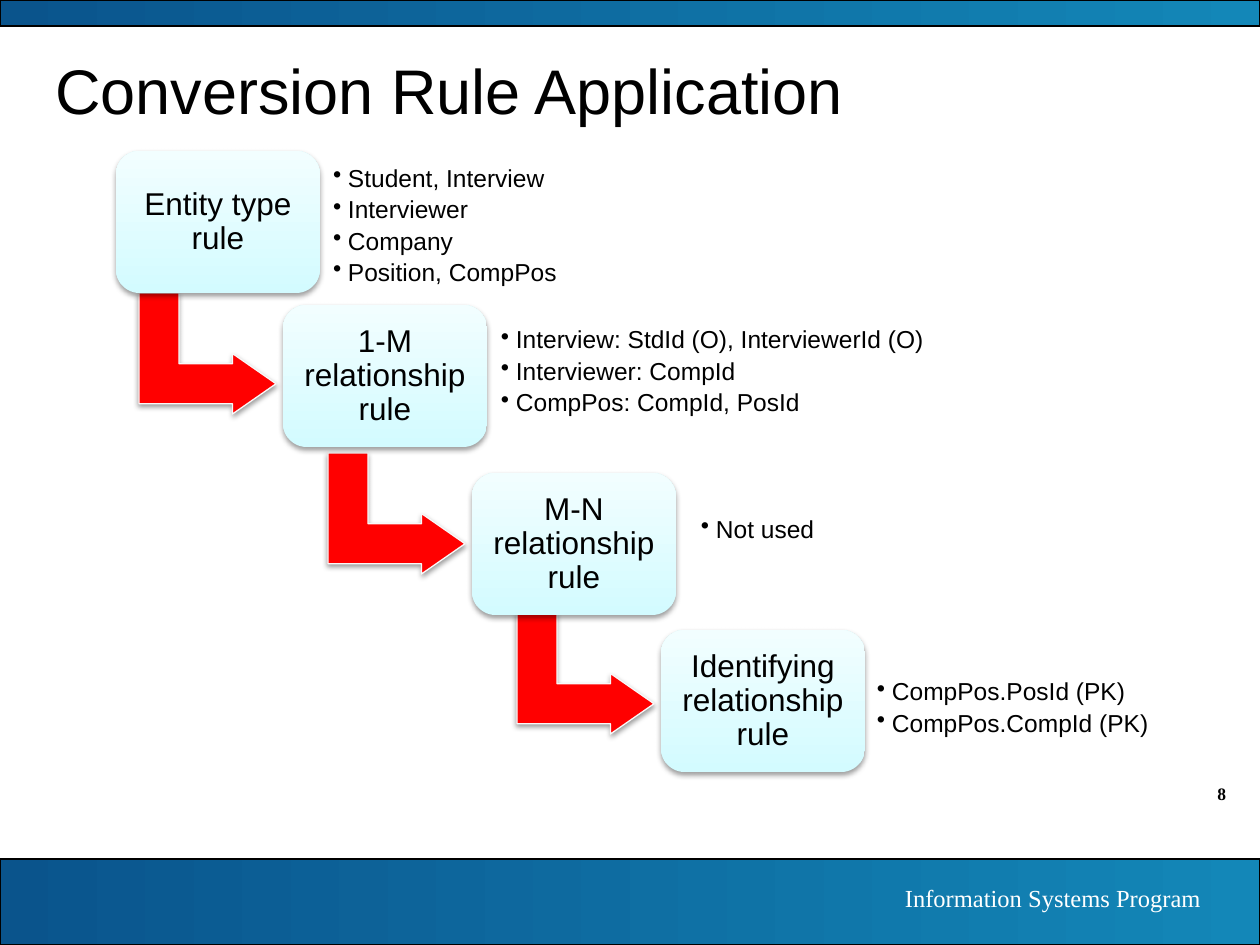
from dataclasses import dataclass

from lxml.etree import SubElement
from pptx import Presentation
from pptx.dml.color import RGBColor as RGB
from pptx.enum.shapes import MSO_SHAPE as Kind
from pptx.enum.text import MSO_ANCHOR as Anchor, PP_ALIGN as Align
from pptx.oxml.ns import qn
from pptx.util import Pt

SCALE = 914400 / 126


def px(n):
    return round(n * SCALE)


@dataclass(frozen=True)
class Theme:
    ink: str = "000000"
    white: str = "FFFFFF"
    edge: str = "F9F9F9"
    arrow: str = "FF0000"
    bar: tuple = ("0A548C", "1387B8")
    card: tuple = ("D3FBFF", "F2FEFF")
    sans: str = "Arial"
    serif: str = "Times New Roman"
    title: int = 36
    rule: int = 18
    body: int = 14
    number: int = 10


def write(shape, lines, *, size, font, color, bold=False, align=Align.LEFT,
          anchor=Anchor.TOP, inset=(13, 6), lead=None, after=0, bullet=False):
    frame = shape.text_frame
    frame.word_wrap = True
    frame.vertical_anchor = anchor
    frame.margin_left = frame.margin_right = px(inset[0])
    frame.margin_top = frame.margin_bottom = px(inset[1])
    for i, line in enumerate(lines):
        para = frame.add_paragraph() if i else frame.paragraphs[0]
        para.alignment = align
        para.line_spacing = lead
        para.space_after = Pt(after)
        if bullet:
            props = para._p.get_or_add_pPr()
            props.set("marL", str(px(15)))
            props.set("indent", str(px(-15)))
            SubElement(props, qn("a:buChar")).set("char", "•")
        run = para.add_run()
        run.text = line
        run.font.size = Pt(size)
        run.font.name = font
        run.font.bold = bold
        run.font.color.rgb = RGB.from_string(color)


class Deck:
    def __init__(self, theme):
        self.theme = theme
        self.file = Presentation()
        self.file.slide_width, self.file.slide_height = px(1260), px(945)
        self.slide = self.file.slides.add_slide(self.file.slide_layouts[6])

    def shape(self, kind, box, fill, line=None, angle=0):
        """Add a preset shape; a pair of colours makes a gradient fill."""
        item = self.slide.shapes.add_shape(kind, *map(px, box))
        item.shadow.inherit = False
        if isinstance(fill, tuple):
            item.fill.gradient()
            item.fill.gradient_angle = angle
            for stop, color in zip(item.fill.gradient_stops, fill):
                stop.color.rgb = RGB.from_string(color)
        else:
            item.fill.solid()
            item.fill.fore_color.rgb = RGB.from_string(fill)
        if line:
            item.line.color.rgb = RGB.from_string(line)
            item.line.width = Pt(0.75)
        else:
            item.line.fill.background()
        return item

    def shade(self, item):
        """Give the shape a soft shadow below it."""
        effects = item.element.spPr.find(qn("a:effectLst"))
        outer = SubElement(effects, qn("a:outerShdw"), blurRad="40000",
                           dist="20000", dir="5400000", rotWithShape="0")
        color = SubElement(outer, qn("a:srgbClr"), val=self.theme.ink)
        SubElement(color, qn("a:alpha"), val="38000")

    def text(self, box, *lines, **style):
        write(self.slide.shapes.add_textbox(*map(px, box)), lines, **style)

    def bar(self, top, high):
        self.shape(Kind.RECTANGLE, (0, top, 1260, high), self.theme.bar, self.theme.ink)

    def arrow(self, left, top):
        item = self.shape(Kind.BENT_UP_ARROW, (left, top, 121, 137),
                          self.theme.arrow, self.theme.edge)
        item.rotation = 90
        for i, value in enumerate((0.33, 0.25, 0.36)):
            item.adjustments[i] = value
        self.shade(item)

    def card(self, left, top, label):
        t = self.theme
        item = self.shape(Kind.ROUNDED_RECTANGLE, (left, top, 204, 142), t.card, angle=90)
        self.shade(item)
        write(item, [label], size=t.rule, font=t.sans, color=t.ink,
              align=Align.CENTER, anchor=Anchor.MIDDLE, inset=(9, 9), lead=0.9)

    def points(self, left, top, wide, lines):
        t = self.theme
        self.text((left, top, wide, 115), *lines, size=t.body, font=t.sans,
                  color=t.ink, anchor=Anchor.MIDDLE, inset=(8, 8),
                  lead=0.9, after=2.8, bullet=True)


STEPS = [
    ("Entity type rule", (116, 151), (325, 169, 273),
     ["Student, Interview", "Interviewer", "Company", "Position, CompPos"]),
    ("1-M relationship rule", (283, 305), (493, 315, 452),
     ["Interview: StdId (O), InterviewerId (O)", "Interviewer: CompId",
      "CompPos: CompId, PosId"]),
    ("M-N relationship rule", (472, 473), (693, 473, 252), ["Not used"]),
    ("Identifying relationship rule", (661, 630), (869, 651, 328),
     ["CompPos.PosId (PK)", "CompPos.CompId (PK)"]),
]


def main():
    t = Theme()
    deck = Deck(t)
    deck.text((1134, 777, 105, 34), "8", size=t.number, font=t.serif,
              color=t.ink, bold=True, align=Align.RIGHT)
    deck.bar(859, 86)
    deck.bar(0, 26)
    deck.text((699, 877, 515, 43), "Information Systems Program", size=t.body,
              font=t.serif, color=t.white, align=Align.RIGHT)
    deck.text((42, 42, 1155, 95), "Conversion Rule Application", size=t.title,
              font=t.sans, color=t.ink, anchor=Anchor.MIDDLE)
    for i, (label, spot, area, lines) in enumerate(STEPS):
        if i < len(STEPS) - 1:
            deck.arrow(147 + 189 * i, 285 + 160 * i)
        deck.card(*spot, label)
        deck.points(*area, lines)
    deck.file.save("out.pptx")


if __name__ == "__main__":
    main()
